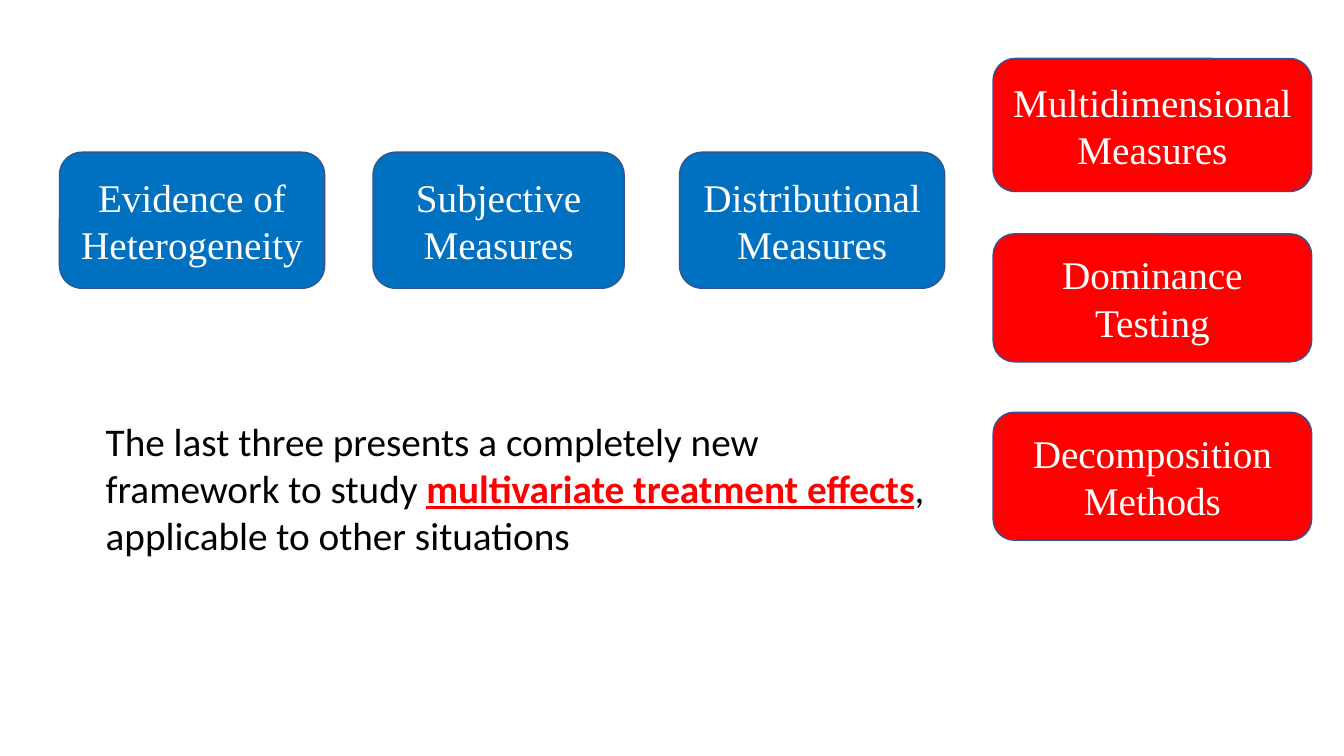
from dataclasses import dataclass

from pptx import Presentation
from pptx.dml.color import RGBColor
from pptx.enum.shapes import MSO_SHAPE
from pptx.enum.text import MSO_ANCHOR, MSO_AUTO_SIZE, PP_ALIGN
from pptx.slide import Slide
from pptx.util import Emu, Pt

ROUNDED = MSO_SHAPE.ROUNDED_RECTANGLE
MIDDLE = MSO_ANCHOR.MIDDLE
CENTER = PP_ALIGN.CENTER
FIT_SHAPE = MSO_AUTO_SIZE.SHAPE_TO_FIT_TEXT

BLUE = RGBColor(0x00, 0x70, 0xC0)
RED = RGBColor(0xFF, 0x00, 0x00)
OUTLINE = RGBColor(0x32, 0x54, 0x91)
WHITE = RGBColor(0xFF, 0xFF, 0xFF)
BLACK = RGBColor(0x00, 0x00, 0x00)

PX_PER_INCH = 100
EMU_PER_PX = 914400 // PX_PER_INCH
FONT_SIZE = Pt(28)
ROW_TOP, ROW_HEIGHT = 151, 135
COLUMN_LEFT, COLUMN_WIDTH = 985, 316


@dataclass(frozen=True)
class Box:
    text: str
    left: int
    top: int
    width: int
    height: int
    fill: RGBColor


@dataclass(frozen=True)
class Phrase:
    text: str
    color: RGBColor = BLACK
    emphasis: bool = False


BOXES = [
    *(
        Box(text, left, ROW_TOP, width, ROW_HEIGHT, BLUE)
        for text, left, width in (
            ("Evidence of Heterogeneity", 59, 263),
            ("Subjective Measures", 370, 249),
            ("Distributional Measures", 674, 263),
        )
    ),
    *(
        Box(text, COLUMN_LEFT, top, COLUMN_WIDTH, height, RED)
        for text, top, height in (
            ("Multidimensional Measures", 58, 132),
            ("Dominance Testing", 232, 127),
            ("Decomposition Methods", 409, 127),
        )
    ),
]

SUMMARY = [
    Phrase("The last three presents a completely new framework to study "),
    Phrase("multivariate treatment effects", RED, True),
    Phrase(", applicable to other situations"),
]


def px(n: int) -> Emu:
    return Emu(n * EMU_PER_PX)


def draw_box(slide: Slide, box: Box) -> None:
    sp = slide.shapes.add_shape(
        ROUNDED, px(box.left), px(box.top), px(box.width), px(box.height)
    )
    sp.shadow.inherit = False
    sp.fill.solid()
    sp.fill.fore_color.rgb = box.fill
    sp.line.color.rgb = OUTLINE
    sp.line.width = Pt(1)
    tf = sp.text_frame
    tf.word_wrap = True
    tf.vertical_anchor = MIDDLE
    p = tf.paragraphs[0]
    p.text = box.text
    p.alignment = CENTER
    p.font.name = "Times New Roman"
    p.font.size = FONT_SIZE
    p.font.color.rgb = WHITE


def draw_summary(slide: Slide, phrases: list[Phrase]) -> None:
    sp = slide.shapes.add_textbox(px(95), px(409), px(842), px(151))
    tf = sp.text_frame
    tf.word_wrap = True
    tf.auto_size = FIT_SHAPE
    p = tf.paragraphs[0]
    p.font.name = "Calibri"
    p.font.size = FONT_SIZE
    for phrase in phrases:
        r = p.add_run()
        r.text = phrase.text
        r.font.color.rgb = phrase.color
        r.font.bold = phrase.emphasis
        r.font.underline = phrase.emphasis


def main() -> None:
    prs = Presentation()
    prs.slide_width, prs.slide_height = px(1333), px(750)
    slide = prs.slides.add_slide(prs.slide_layouts[6])
    for box in BOXES:
        draw_box(slide, box)
    draw_summary(slide, SUMMARY)
    prs.save("out.pptx")


if __name__ == "__main__":
    main()
